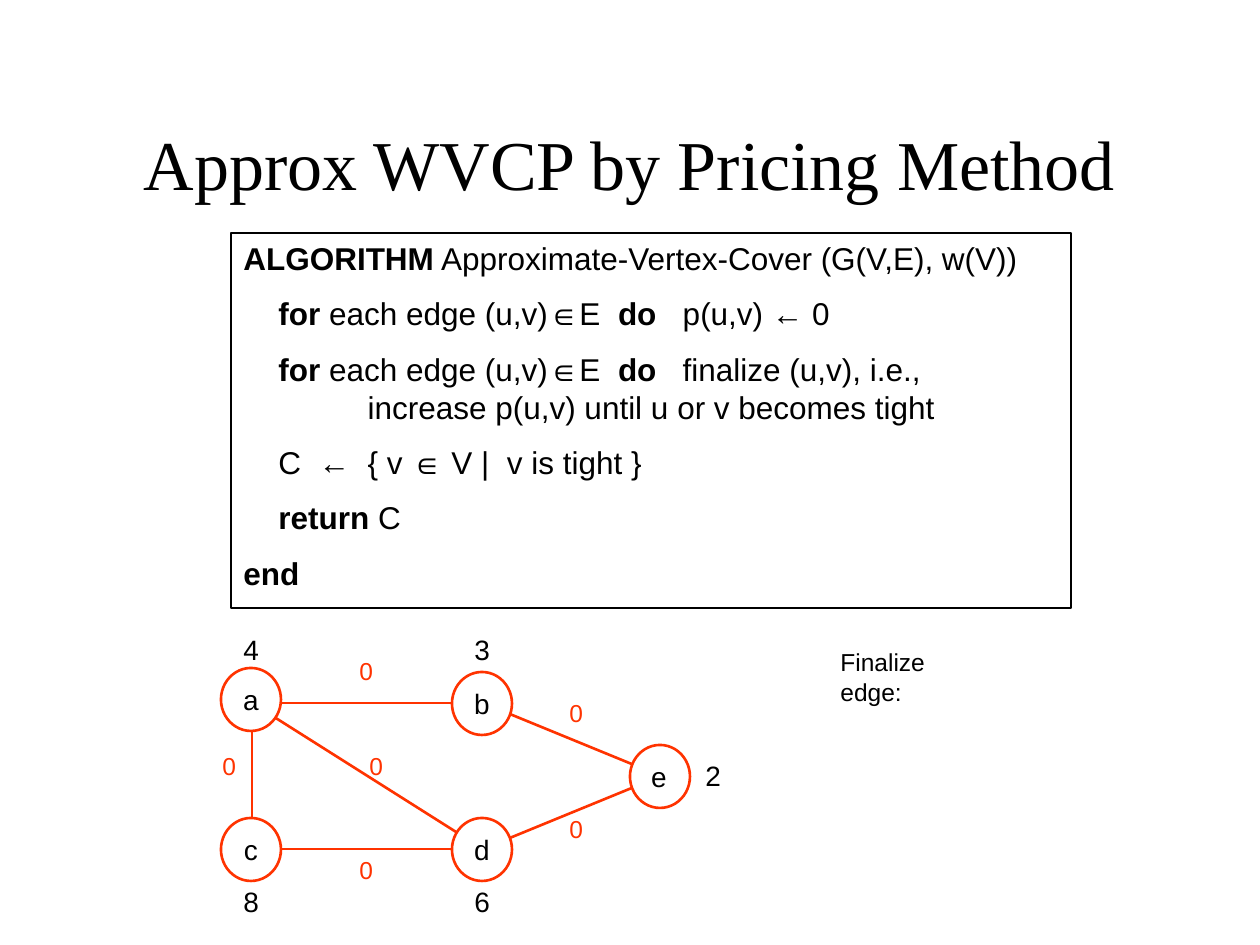
from lxml import etree
from pptx import Presentation
from pptx import util as u
from pptx.dml.color import RGBColor
from pptx.enum import shapes, text
from pptx.oxml.ns import qn

COLORS = {"ink": "000000", "paper": "FFFFFF", "edge": "FF3300"}
TITLE = "Approx WVCP by Pricing Method"
ALGORITHM = [
    [("ALGORITHM", True), (" Approximate-Vertex-Cover (G(V,E), w(V))", False)],
    [("    ", False), ("for", True), (" each edge (u,v)∈E  ", False),
     ("do", True), ("   p(u,v) ← 0", False)],
    [("    ", False), ("for", True), (" each edge (u,v)∈E  ", False),
     ("do", True), ("   finalize (u,v), i.e., ", False), "break",
     ("       increase p(u,v) until u or v becomes tight", False)],
    [("    C  ←  { v ∈ V |  v is tight }", False)],
    [("    ", False), ("return", True), (" C", False)],
    [("end", True)],
]
HUBS = {"a": (252, 703), "b": (483, 703), "e": (661, 776), "d": (483, 849), "c": (252, 849)}
LIFTS = {"a": 4}
EDGES = ["ab", "be", "ed", "ad", "cd", "ac"]
WEIGHTS = [("4", 231, 626), ("3", 462, 626), ("2", 693, 752), ("8", 231, 878), ("6", 462, 878)]
PRICES = [(347, 650), (557, 692), (357, 745), (210, 745), (347, 849), (557, 808)]
NODE_WIDTH, NODE_HEIGHT = 60, 63


def px(value):
    return round(value * u.Inches(1) / 126)


def color(name):
    return RGBColor.from_string(COLORS[name])


def write(frame, paragraphs, size, font="Arial", ink="ink", align=text.PP_ALIGN.LEFT,
          anchor=text.MSO_ANCHOR.TOP, wrap=True, before=0, hanging=0):
    frame.word_wrap = wrap
    frame.vertical_anchor = anchor
    for index, spans in enumerate(paragraphs):
        para = frame.add_paragraph() if index else frame.paragraphs[0]
        para.alignment = align
        if index and before:
            para.space_before = u.Pt(before)
        if hanging:
            para._p.get_or_add_pPr().set("marL", str(px(hanging)))
            para._p.get_or_add_pPr().set("indent", str(-px(hanging)))
        for item in spans:
            if item == "break":
                para.add_line_break()
                continue
            span = para.add_run()
            span.text, span.font.bold = item
            span.font.size = u.Pt(size)
            span.font.name = font
            span.font.color.rgb = color(ink)


def add_outline(page, kind, left, top, width, height, line, fill=None):
    shape = page.shapes.add_shape(kind, px(left), px(top), px(width), px(height))
    shape.shadow.inherit = False
    if fill:
        shape.fill.solid()
        shape.fill.fore_color.rgb = color(fill)
    else:
        shape.fill.background()
    shape.line.color.rgb = color(line)
    shape.line.width = u.Pt(1.5)
    return shape


def add_label(page, words, left, top, width, height, **style):
    box = page.shapes.add_textbox(px(left), px(top), px(width), px(height))
    write(box.text_frame, [[(words, False)]], **style)


def add_edge(page, start, end):
    line = page.shapes.add_connector(shapes.MSO_CONNECTOR.STRAIGHT,
                                     *map(px, HUBS[start] + HUBS[end]))
    line.line.color.rgb = color("edge")
    line.line.width = u.Pt(1.5)
    etree.SubElement(line._element.spPr, qn("a:effectLst"))


def main():
    deck = Presentation()
    deck.slide_width, deck.slide_height = u.Inches(10), u.Inches(7.5)
    page = deck.slides.add_slide(deck.slide_layouts[5])

    title = page.shapes.title
    title.left, title.top, title.width, title.height = map(px, (94, 84, 1071, 158))
    write(title.text_frame, [[(TITLE, False)]], size=40, font="Times New Roman",
          align=text.PP_ALIGN.CENTER, anchor=text.MSO_ANCHOR.MIDDLE)

    panel = add_outline(page, shapes.MSO_SHAPE.RECTANGLE, 231, 233, 840, 375, "ink")
    write(panel.text_frame, ALGORITHM, size=18, before=10, hanging=63)

    for start, end in EDGES:
        add_edge(page, start, end)
    for name, (x, y) in HUBS.items():
        node = add_outline(page, shapes.MSO_SHAPE.OVAL, x - 31, y - 31 - LIFTS.get(name, 0),
                           NODE_WIDTH, NODE_HEIGHT, "edge", "paper")
        write(node.text_frame, [[(name, False)]], size=16, anchor=text.MSO_ANCHOR.MIDDLE,
              align=text.PP_ALIGN.LEFT if name == "e" else text.PP_ALIGN.CENTER)

    for words, left, top in WEIGHTS:
        add_label(page, words, left, top, 40, 47, size=16, wrap=False)
    for left, top in PRICES:
        add_label(page, "0", left, top, 39, 42, size=14, ink="edge", wrap=False)
    add_label(page, "Finalize edge:", 828, 641, 170, 42, size=14)

    deck.save("out.pptx")


if __name__ == "__main__":
    main()
